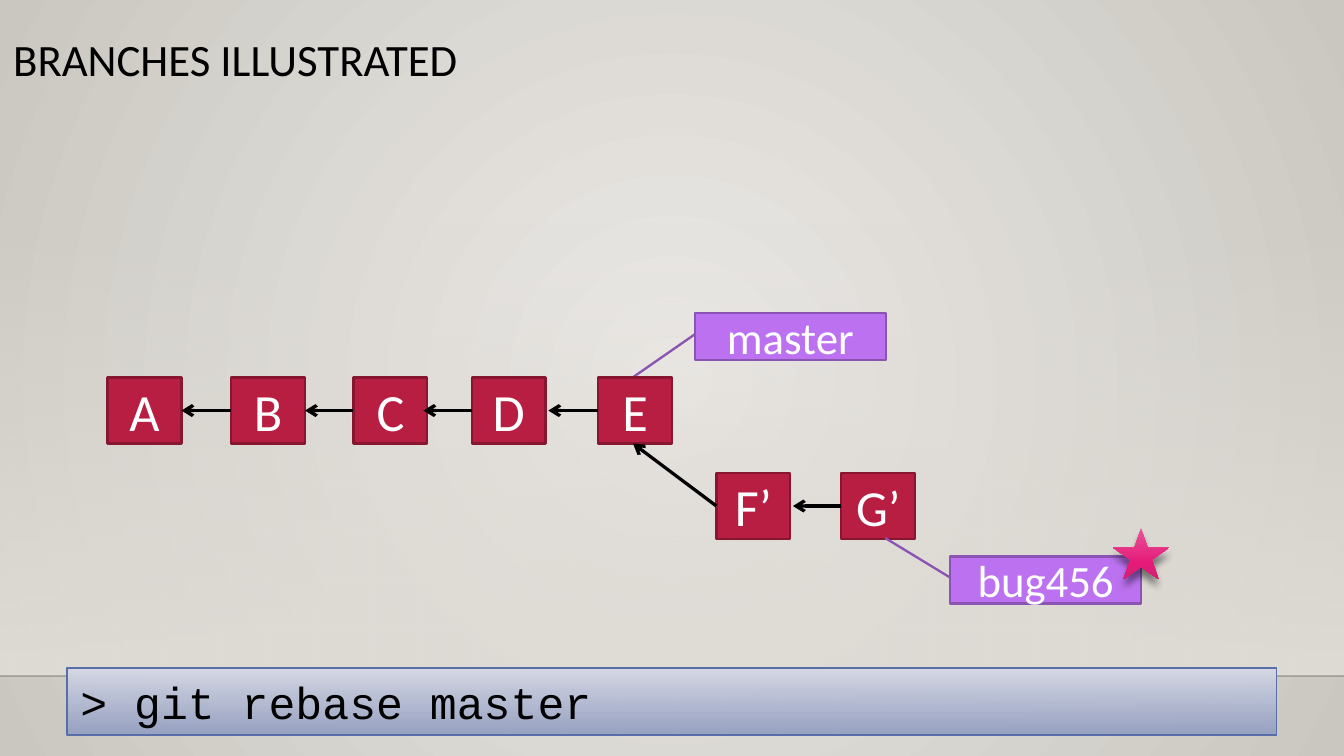
"""Build a slide that shows git branches after a rebase."""
from pptx import Presentation
from pptx import util as u
from pptx.dml import color as col
from pptx.enum import shapes as sh, text as tx
from pptx.oxml import ns
from lxml import etree

INK = {
    "black": "000000", "white": "FFFFFF", "rule": "000001", "floor": "DFDBD5",
    "inner": "ECEAE7", "outer": "CAC7C1",
    "node": "B71E42", "edge": "871631", "tag": "BC72F0", "rim": "8B54B2",
    "light": "D6D9E5", "steel": "929DC0", "frame": "586EA6",
    "pink": "E75597", "rose": "E51A79", "wine": "CF2374",
}
KIND = sh.MSO_SHAPE
ALIGN = tx.PP_ALIGN
ANCHOR = tx.MSO_ANCHOR
WIDE, HIGH = 0.55, 0.49
ROW1, ROW2 = 2.81, 3.52


def rgb(name):
    """Return the named colour."""
    return col.RGBColor.from_string(INK[name])


def sub(node, tag, **vals):
    """Add a drawing element with its attributes."""
    item = etree.SubElement(node, ns.qn("a:" + tag))
    for key, val in vals.items():
        item.set(key, str(val))
    return item


def tint(node, name, alpha=100):
    """Add a colour element, see-through when alpha is below 100."""
    item = sub(node, "srgbClr", val=INK[name])
    if alpha < 100:
        sub(item, "alpha", val=alpha * 1000)


def blend(fill, root, stops, round=False):
    """Set a gradient that runs downwards or out from the centre."""
    fill.gradient()
    grad = root.find(".//" + ns.qn("a:gradFill"))
    for kid in list(grad):
        grad.remove(kid)
    items = sub(grad, "gsLst")
    for pos, name, alpha in stops:
        tint(sub(items, "gs", pos=pos * 1000), name, alpha)
    if round:
        sub(sub(grad, "path", path="circle"), "fillToRect",
            l=50000, t=50000, r=50000, b=50000)
    else:
        sub(grad, "lin", ang=5400000, scaled=0)


def write(shape, words, size, ink, font="Calibri", align=ALIGN.LEFT,
          anchor=ANCHOR.TOP, wrap=True):
    """Put one run of text in a shape."""
    frame = shape.text_frame
    frame.word_wrap = wrap
    frame.vertical_anchor = anchor
    para = frame.paragraphs[0]
    para.alignment = align
    run = para.add_run()
    run.text = words
    run.font.size = u.Pt(size)
    run.font.name = font
    run.font.color.rgb = rgb(ink)
    return para


def block(slide, kind, x, y, w, h, fill=None, line=None, width=1.25):
    """Add a preset shape without a shadow."""
    shape = slide.shapes.add_shape(
        kind, u.Inches(x), u.Inches(y), u.Inches(w), u.Inches(h))
    shape.shadow.inherit = False
    if fill:
        shape.fill.solid()
        shape.fill.fore_color.rgb = rgb(fill)
    if line:
        shape.line.color.rgb = rgb(line)
        shape.line.width = u.Pt(width)
    else:
        shape.line.fill.background()
    return shape


def stroke(slide, x1, y1, x2, y2, ink, width):
    """Add a straight line without a shadow."""
    line = slide.shapes.add_connector(
        sh.MSO_CONNECTOR.STRAIGHT, u.Inches(x1), u.Inches(y1),
        u.Inches(x2), u.Inches(y2))
    line.line.color.rgb = rgb(ink)
    line.line.width = u.Pt(width)
    sub(line.element.spPr, "effectLst")
    return line


def commit(slide, label, x, y, size):
    """Add a commit box."""
    box = block(slide, KIND.RECTANGLE, x, y, WIDE, HIGH, "node", "edge")
    write(box, label, size, "white", align=ALIGN.CENTER,
          anchor=ANCHOR.MIDDLE, wrap=False)
    return box


def arrow(slide, child, x, y, tip, goal=None):
    """Point from a commit's left side to its parent."""
    line = stroke(slide, x, y + HIGH / 2, *tip, "black", 1.75)
    sub(line.element.spPr.find(ns.qn("a:ln")), "tailEnd", type="arrow")
    line.begin_connect(child, 1)
    if goal:
        line.end_connect(goal, 3)


def branch(slide, label, x, y, drop, shift):
    """Add a branch label with its callout line."""
    tag = block(slide, KIND.LINE_CALLOUT_1, x, y, 1.42, 0.35, "tag", "rim")
    for spot, val in enumerate((0.45, 0, drop, shift)):
        tag.adjustments[spot] = val
    write(tag, label, 24, "white", align=ALIGN.CENTER, anchor=ANCHOR.MIDDLE)


def scene(slide):
    """Draw the backdrop with its floor line."""
    blend(slide.background.fill, slide.element,
          [(0, "inner", 100), (100, "outer", 100)], round=True)
    wall = block(slide, KIND.RECTANGLE, 0, 1.66, 10, 3.37)
    blend(wall.fill, wall.element, [(0, "floor", 0), (100, "floor", 100)])
    rule = stroke(slide, 0, 5.03, 10, 5.03, "rule", 1)
    shade = rule.element.find(".//" + ns.qn("a:srgbClr"))
    sub(shade, "alpha", val=20000)


def title(slide, words):
    """Add the slide title."""
    box = slide.shapes.add_textbox(
        u.Inches(0), u.Inches(0.23), u.Inches(9), u.Inches(0.94))
    write(box, words, 24, "black").line_spacing = 0.9


def graph(slide):
    """Draw the commits and the arrows to their parents."""
    mid1, mid2 = ROW1 + HIGH / 2, ROW2 + HIGH / 2
    rows = [
        ("A", 0.8, ROW1, 28, None),
        ("B", 1.72, ROW1, 28, (1.35, mid1)),
        ("C", 2.63, ROW1, 28, (2.27, mid1)),
        ("D", 3.51, ROW1, 28, (3.15, mid1)),
        ("E", 4.45, ROW1, 28, (4.08, mid1)),
        ("F’", 5.33, ROW2, 28, (4.71, ROW1 + HIGH)),
        ("G’", 6.26, ROW2, 27, (5.9, mid2)),
    ]
    last = None
    for label, x, y, size, tip in rows:
        box = commit(slide, label, x, y, size)
        if tip:
            arrow(slide, box, x, y, tip, last if label in "BC" else None)
        last = box


def prompt(slide, words):
    """Add the command bar."""
    bar = block(slide, KIND.RECTANGLE, 0.5, 4.97, 9, 0.5,
                line="frame", width=0.75)
    blend(bar.fill, bar.element, [(0, "light", 100), (100, "steel", 92)])
    write(bar, words, 24, "black", font="Courier New")


def star(slide):
    """Mark the current branch with a star."""
    mark = block(slide, KIND.STAR_5_POINT, 8.28, 3.93, 0.42, 0.38)
    blend(mark.fill, mark.element,
          [(0, "pink", 100), (69, "rose", 100), (100, "wine", 100)])
    glow = mark.element.spPr.find(ns.qn("a:effectLst"))
    cast = sub(glow, "outerShdw", blurRad=u.Pt(4), dist=u.Pt(4),
               dir=5400000, rotWithShape=0)
    tint(cast, "black", 48)


def main():
    """Build and save the deck."""
    deck = Presentation()
    deck.slide_width, deck.slide_height = u.Inches(10), u.Inches(10 * 9 / 16)
    slide = deck.slides.add_slide(deck.slide_layouts[6])
    scene(slide)
    title(slide, "BRANCHES ILLUSTRATED")
    branch(slide, "master", 5.17, 2.33, 1.38, -0.33)
    graph(slide)
    prompt(slide, "> git rebase master")
    branch(slide, "bug456", 7.07, 4.14, -0.39, -0.34)
    star(slide)
    deck.save("out.pptx")


if __name__ == "__main__":
    main()
